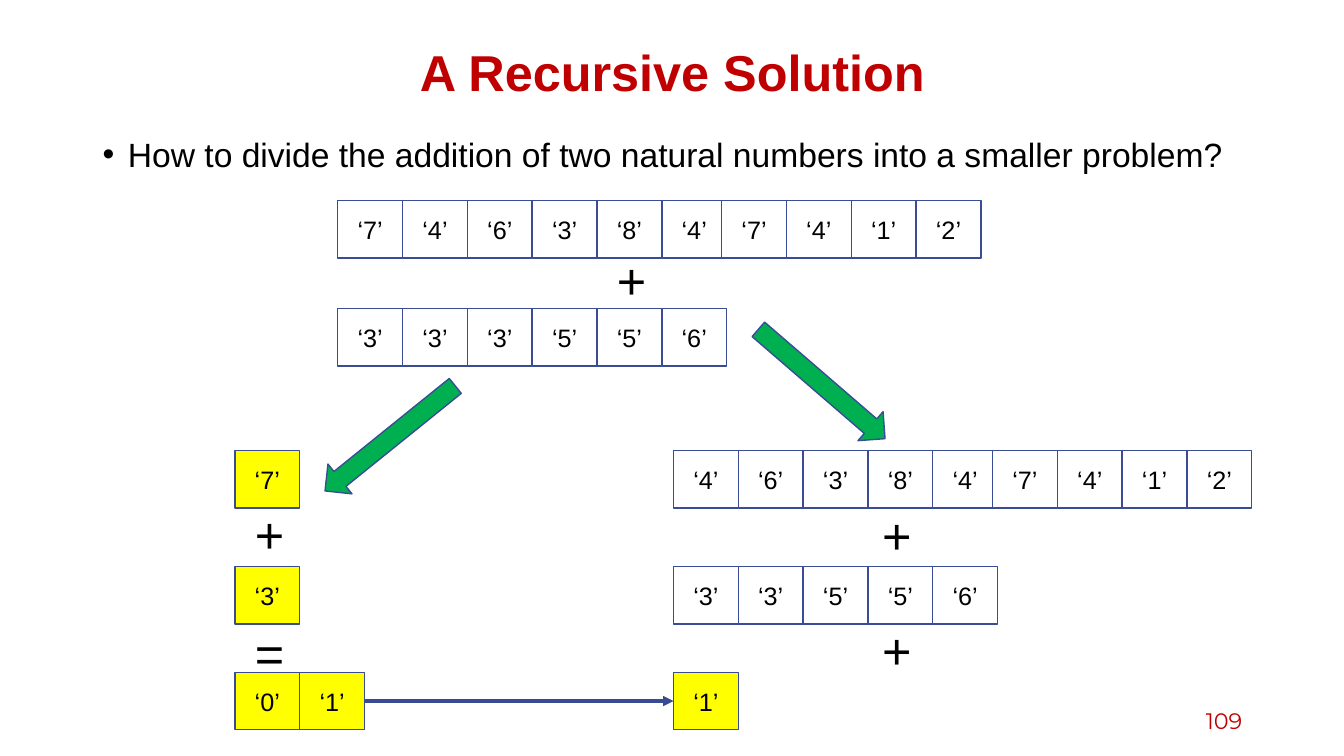
from lxml import etree
from pptx import Presentation
from pptx.dml.color import RGBColor
from pptx.enum.shapes import MSO_CONNECTOR as CONN, MSO_SHAPE as SHAPE
from pptx.enum.text import MSO_ANCHOR as ANCHOR, PP_ALIGN as ALIGN
from pptx.oxml.ns import qn
from pptx.util import Inches, Pt

COLORS = {"red": "C00000", "black": "000000", "white": "FFFFFF", "yellow": "FFFF00",
          "green": "00B050", "outline": "3A4C94", "carry": "374A92"}
CELL_W, CELL_H = 4.5 / 7, 0.57
PAIR_OVERLAP = 0.05  # how far the second half of a split number moves left
LOWER_TOP = 4.47


def rgb(name):
    return RGBColor.from_string(COLORS[name])


def write(sp, text, size, color="black", font="Arial", align=ALIGN.LEFT, bold=False):
    tf = sp.text_frame
    tf.word_wrap = True
    tf.text = text
    p = tf.paragraphs[0]
    p.alignment = align
    r = p.runs[0]
    r.font.name, r.font.size, r.font.bold = font, Pt(size), bold
    r.font.color.rgb = rgb(color)
    return p


def add_text(s, box, text, size, anchor=ANCHOR.TOP, **style):
    sp = s.shapes.add_textbox(*map(Inches, box))
    sp.text_frame.vertical_anchor = anchor
    return write(sp, text, size, **style)


def add_block(s, kind, box, fill):
    sp = s.shapes.add_shape(kind, *map(Inches, box))
    sp.shadow.inherit = False
    sp.fill.solid()
    sp.fill.fore_color.rgb = rgb(fill)
    sp.line.color.rgb = rgb("outline")
    sp.line.width = Pt(1)
    return sp


def add_digits(s, left, top, digits, fill="white"):
    """One cell per digit; a space in digits marks where the halves overlap."""
    cells, x = [], left
    for digit in digits:
        if digit == " ":
            x -= PAIR_OVERLAP
            continue
        sp = add_block(s, SHAPE.RECTANGLE, (x, top, CELL_W, CELL_H), fill)
        sp.text_frame.vertical_anchor = ANCHOR.MIDDLE
        write(sp, f"‘{digit}’", 18, align=ALIGN.CENTER)
        cells.append(sp)
        x += CELL_W
    return cells


def add_sign(s, left, top, sign):
    add_text(s, (left, top, CELL_W, 0.71), sign, 36)


def add_heading(s, left, width):
    add_text(s, (left, 0.4, width, 0.7), "A Recursive Solution", 36, ANCHOR.MIDDLE,
             color="red", align=ALIGN.CENTER, bold=True).line_spacing = 0.9
    # Bulleted question
    p = add_text(s, (left, 1.32, width, 5.51),
                 "How to divide the addition of two natural numbers into a smaller problem?", 24)
    p.line_spacing, p.space_before = 0.9, Pt(10)
    pPr = p._p.get_or_add_pPr()
    pPr.set("marL", str(Inches(0.25)))
    pPr.set("indent", str(-Inches(0.25)))
    etree.SubElement(pPr, qn("a:buFont")).set("typeface", "Arial")
    etree.SubElement(pPr, qn("a:buChar")).set("char", "•")
    # Page number, flush with the right margin
    add_text(s, (left + width - 3, 6.95, 3, 0.4), "109", 16, ANCHOR.MIDDLE,
             color="red", font="Montserrat", align=ALIGN.RIGHT)


def add_whole_sum(s, left, top):
    add_digits(s, left, top, "746384 7412")
    add_sign(s, left + 2.67, top + 0.43, "+")
    add_digits(s, left, top + 1.07, "333556")


def add_first_digit_sum(s, left, top):
    add_digits(s, left, top, "7", "yellow")
    add_sign(s, left + 0.1, top + 0.47, "+")
    add_digits(s, left, top + 1.15, "3", "yellow")
    add_sign(s, left + 0.1, top + 1.65, "=")
    return add_digits(s, left, top + 2.2, "01", "yellow")[-1]


def add_remaining_sum(s, left, top):
    add_digits(s, left, top, "46384 7412")
    add_sign(s, left + 1.97, top + 0.48, "+")
    add_digits(s, left, top + 1.15, "33556")
    add_sign(s, left + 1.97, top + 1.62, "+")
    return add_digits(s, left, top + 2.2, "1", "yellow")[0]


def add_split_arrow(s, left, top, rotation):
    sp = add_block(s, SHAPE.DOWN_ARROW, (left, top, 0.38, 1.66), "green")
    sp.rotation = rotation


def add_carry_arrow(s, source, target):
    c = s.shapes.add_connector(CONN.STRAIGHT, 0, 0, 0, 0)
    c.begin_connect(source, 3)
    c.end_connect(target, 1)
    c.line.color.rgb = rgb("carry")
    c.line.width = Pt(2.5)
    etree.SubElement(c.line._get_or_add_ln(), qn("a:tailEnd")).set("type", "triangle")
    etree.SubElement(c._element.spPr, qn("a:effectLst"))


def main():
    prs = Presentation()
    prs.slide_width, prs.slide_height = Inches(13.33), Inches(7.5)
    s = prs.slides.add_slide(prs.slide_layouts[6])
    add_heading(s, 0.92, 11.5)
    add_whole_sum(s, 3.35, 1.99)
    # The two smaller problems and the digit passed between them
    carry_in = add_remaining_sum(s, 6.68, LOWER_TOP)
    carry_out = add_first_digit_sum(s, 2.33, LOWER_TOP)
    add_split_arrow(s, 3.68, 3.52, 51.1)
    add_split_arrow(s, 7.96, 2.98, 310.8)
    add_carry_arrow(s, carry_out, carry_in)
    prs.save("out.pptx")


if __name__ == "__main__":
    main()
